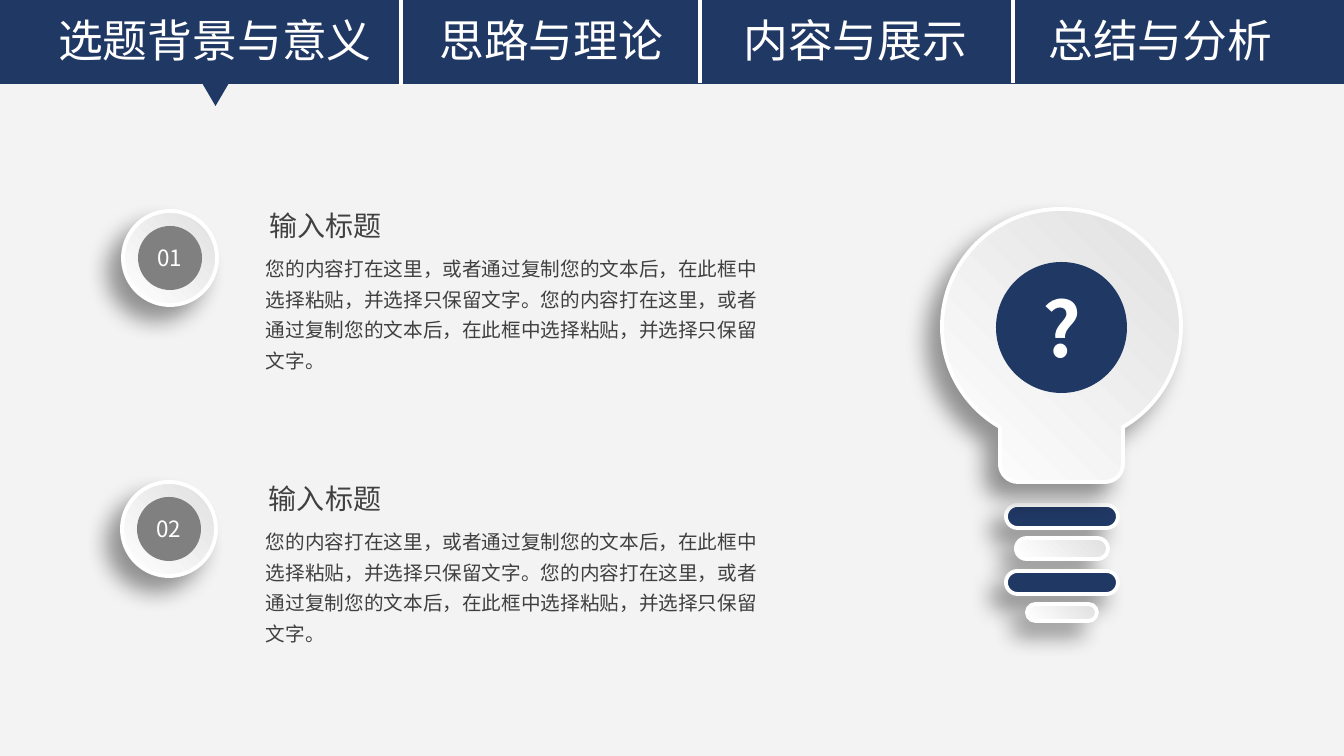
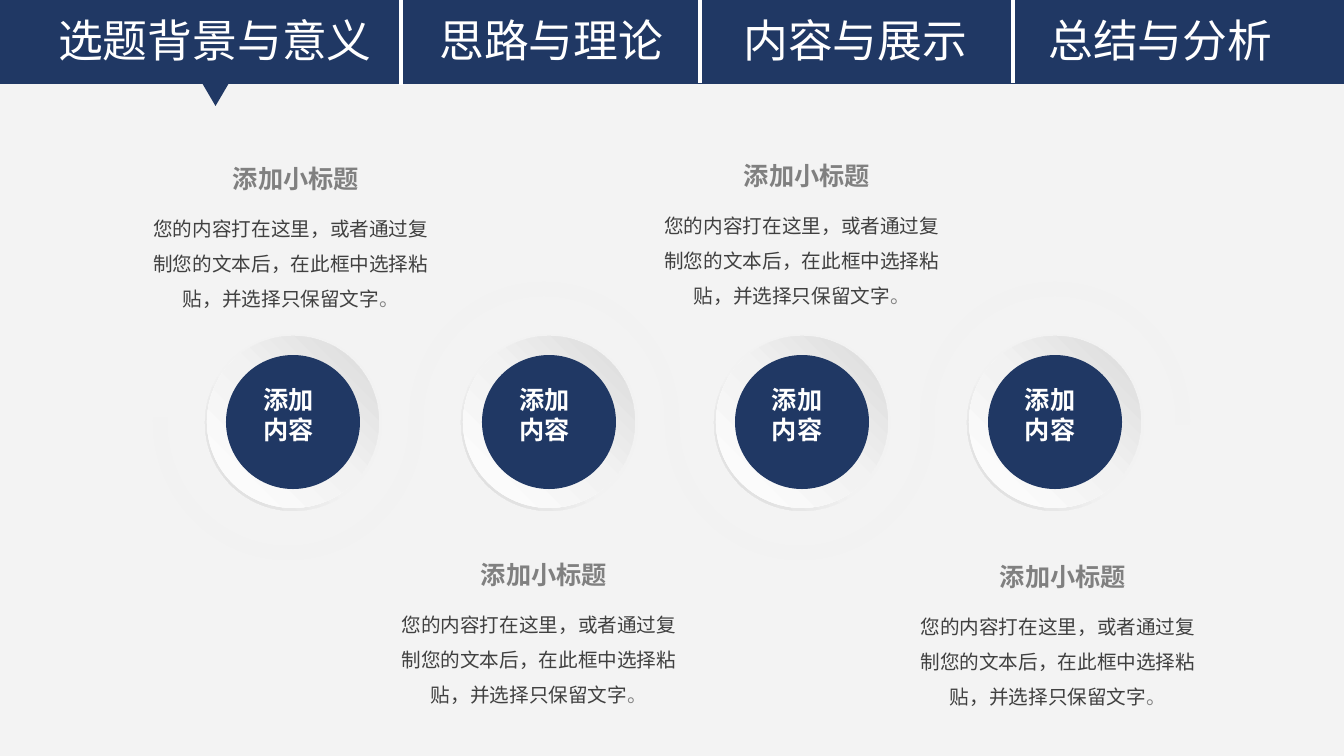
from lxml import etree
from pptx import Presentation
from pptx.dml.color import RGBColor
from pptx.enum.shapes import MSO_CONNECTOR, MSO_SHAPE
from pptx.enum.text import MSO_ANCHOR, PP_ALIGN
from pptx.oxml import parse_xml
from pptx.oxml.ns import nsdecls, qn
from pptx.util import Pt

PX = 9072
FONT = "Noto Sans CJK SC"
C = {
    "navy": "203864", "white": "FFFFFF", "back": "F3F3F3", "gray": "808080",
    "text": "404040", "pale": "F2F2F2", "edge": "D9D9D9", "shade": "E0E0E0",
}
RECT, OVAL, ROUND = MSO_SHAPE.RECTANGLE, MSO_SHAPE.OVAL, MSO_SHAPE.ROUNDED_RECTANGLE
TRIANGLE, ARC, DONUT = MSO_SHAPE.ISOSCELES_TRIANGLE, MSO_SHAPE.ARC, MSO_SHAPE.DONUT
STRAIGHT = MSO_CONNECTOR.STRAIGHT
LEFT, CENTER = PP_ALIGN.LEFT, PP_ALIGN.CENTER
TOP, MIDDLE = MSO_ANCHOR.TOP, MSO_ANCHOR.MIDDLE

GLOSS = (135, [(0, "shade"), (100, "white")])
RIM = (135, [(0, "pale"), (55, "pale"), (100, "edge")])
DISC = (315, [(0, "white"), (51, "pale"), (100, "edge")])


def paint(sp, fill, raised=False):
    sp.shadow.inherit = False
    if raised:
        sp.line.color.rgb = RGBColor.from_string(C["white"])
        sp.line.width = Pt(2.75)
        sp._element.spPr.find(qn("a:effectLst")).append(parse_xml(
            f'<a:outerShdw {nsdecls("a")} blurRad="203200" dist="177800" dir="8100000" '
            'algn="tr" rotWithShape="0"><a:srgbClr val="000000"><a:alpha val="40000"/>'
            '</a:srgbClr></a:outerShdw>'))
    else:
        sp.line.fill.background()
    if isinstance(fill, str):
        sp.fill.solid()
        sp.fill.fore_color.rgb = RGBColor.from_string(C[fill])
    else:
        angle, stops = fill
        gs = "".join(f'<a:gs pos="{pos * 1000}"><a:srgbClr val="{C[name]}"/></a:gs>'
                     for pos, name in stops)
        sp._element.spPr.insert(2, parse_xml(
            f'<a:gradFill {nsdecls("a")} rotWithShape="1"><a:gsLst>{gs}</a:gsLst>'
            f'<a:lin ang="{angle * 60000}" scaled="0"/></a:gradFill>'))


def write(sp, lines, size, color, bold=False, align=CENTER, anchor=TOP,
          inset=(10, 5), spacing=1.0, tail=""):
    tf = sp.text_frame
    tf.word_wrap = True
    tf.vertical_anchor = anchor
    tf.margin_left = tf.margin_right = inset[0] * PX
    tf.margin_top = tf.margin_bottom = inset[1] * PX
    tf.text = "\n".join(lines)
    if tail:
        tf.paragraphs[-1].add_run().text = tail
    for p in tf.paragraphs:
        p.alignment = align
        p.line_spacing = spacing
        for i, r in enumerate(p.runs):
            r.font.size = Pt(size)
            r.font.bold = bold
            r.font.color.rgb = RGBColor.from_string(C["gray" if i else color])
            r.font.name = FONT
            etree.SubElement(r._r.get_or_add_rPr(), qn("a:ea"), typeface=FONT)


prs = Presentation()
prs.slide_width = 1344 * PX
prs.slide_height = 756 * PX
tabs = [("选题背景与意义", 27, 376), ("思路与理论", 419, 265),
        ("内容与展示", 723, 265), ("总结与分析", 1028, 265)]

for _ in range(2):
    s = prs.slides.add_slide(prs.slide_layouts[6])
    s.background.fill.solid()
    s.background.fill.fore_color.rgb = RGBColor.from_string(C["back"])
    band = s.shapes.add_shape(RECT, 0, 0, 1344 * PX, 84 * PX)
    paint(band, "navy")
    for label, x, w in tabs:
        tb = s.shapes.add_textbox(x * PX, 8 * PX, w * PX, 65 * PX)
        write(tb, [label], 32, "white")
    for x, bottom in [(401, 85), (700, 83), (1013, 83)]:
        divider = s.shapes.add_connector(STRAIGHT, x * PX, 0, x * PX, bottom * PX)
        divider.line.color.rgb = RGBColor.from_string(C["white"])
        divider.line.width = Pt(2.25)
        etree.SubElement(divider._element.spPr, qn("a:effectLst"))
    marker = s.shapes.add_shape(TRIANGLE, 202 * PX, 83 * PX, 27 * PX, 23 * PX)
    marker.rotation = 180
    paint(marker, "navy")

ideas, steps = prs.slides

for i, w in enumerate([112, 92, 112, 70]):
    h = [23, 21, 23, 17][i]
    bar = ideas.shapes.add_shape(ROUND, (1062 - w // 2) * PX, (505 + 33 * i) * PX, w * PX, h * PX)
    bar.adjustments[0] = 0.5
    paint(bar, GLOSS if i % 2 else "navy", raised=True)

builder = ideas.shapes.build_freeform(1061, 209, scale=PX)
builder.add_line_segments([(1181, 327), (1105, 482), (942, 327)], close=True)
bulb = builder.convert_to_shape()
outline = bulb._element.spPr.find(".//" + qn("a:path"))
del outline[1:-1]
for points in [
    [(1128, 209), (1181, 261), (1181, 327)],
    [(1181, 369), (1158, 407), (1123, 427)],
    [(1123, 464)],
    [(1123, 474), (1115, 482), (1105, 482)],
    [(1018, 482)],
    [(1008, 482), (1000, 474), (1000, 464)],
    [(1000, 427)],
    [(965, 407), (942, 369), (942, 327)],
    [(942, 261), (995, 209), (1061, 209)],
]:
    segment = etree.Element(qn("a:lnTo" if len(points) == 1 else "a:cubicBezTo"))
    for x, y in points:
        etree.SubElement(segment, qn("a:pt"), x=str(x - 942), y=str(y - 209))
    outline.insert(len(outline) - 1, segment)
paint(bulb, GLOSS, raised=True)
core = ideas.shapes.add_shape(OVAL, 996 * PX, 262 * PX, 131 * PX, 131 * PX)
paint(core, "navy")
write(core, ["?"], 54, "white", bold=True, anchor=MIDDLE, inset=(0, 0))

sentence = "您的内容打在这里，或者通过复制您的文本后，在此框中选择粘贴，并选择只保留文字"
for number, x, y, title_y, title_w in [("01", 123, 211, 202, 326), ("02", 122, 482, 475, 380)]:
    ring = ideas.shapes.add_shape(OVAL, x * PX, y * PX, 94 * PX, 94 * PX)
    paint(ring, GLOSS, raised=True)
    badge = ideas.shapes.add_shape(OVAL, (x + 15) * PX, (y + 15) * PX, 64 * PX, 64 * PX)
    paint(badge, "gray")
    write(badge, [number], 16, "white", anchor=MIDDLE, inset=(0, 0))
    body = ideas.shapes.add_textbox(256 * PX, (title_y + 43) * PX, 521 * PX, 86 * PX)
    write(body, [(sentence + "。") * 2], 14, "text", align=LEFT, spacing=1.3)
    title = ideas.shapes.add_textbox(256 * PX, title_y * PX, title_w * PX, 48 * PX)
    write(title, ["输入标题"], 20, "text", align=LEFT, inset=(13, 0), spacing=1.2)

for i, x in enumerate([160, 416, 672, 927]):
    arc = steps.shapes.add_shape(ARC, x * PX, (290 - i % 2) * PX, 256 * PX, 263 * PX)
    arc.adjustments[0] = 214.5
    arc.adjustments[1] = 109
    arc.rotation = 180 * (i % 2)
    arc.shadow.inherit = False
    arc.fill.background()
    arc.line.color.rgb = RGBColor.from_string(C["pale"])
    arc.line.width = Pt(10)

for x, caption_x, caption_y in [(205, 131, 163), (461, 379, 559),
                                (714, 642, 160), (967, 898, 561)]:
    for kind, inset, size, fill in [(DONUT, 0, 177, RIM), (OVAL, 2, 172, DISC),
                                    (OVAL, 21, 134, "navy")]:
        disc = steps.shapes.add_shape(kind, (x + inset) * PX, (334 + inset) * PX,
                                      size * PX, size * PX)
        if kind == DONUT:
            disc.adjustments[0] = 0.05
        paint(disc, fill)
    label = steps.shapes.add_textbox((x + 48) * PX, 379 * PX, 101 * PX, 72 * PX)
    write(label, ["添加", "内容"], 18, "white", bold=True, align=LEFT)
    heading = steps.shapes.add_textbox((caption_x + 30) * PX, caption_y * PX, 270 * PX, 42 * PX)
    write(heading, ["添加小标题"], 18, "gray", bold=True, inset=(13, 0))
    body = steps.shapes.add_textbox(caption_x * PX, (caption_y + 42) * PX, 320 * PX, 81 * PX)
    write(body, [sentence], 14, "text", inset=(13, 0), spacing=1.5, tail="。")

prs.save("out.pptx")
